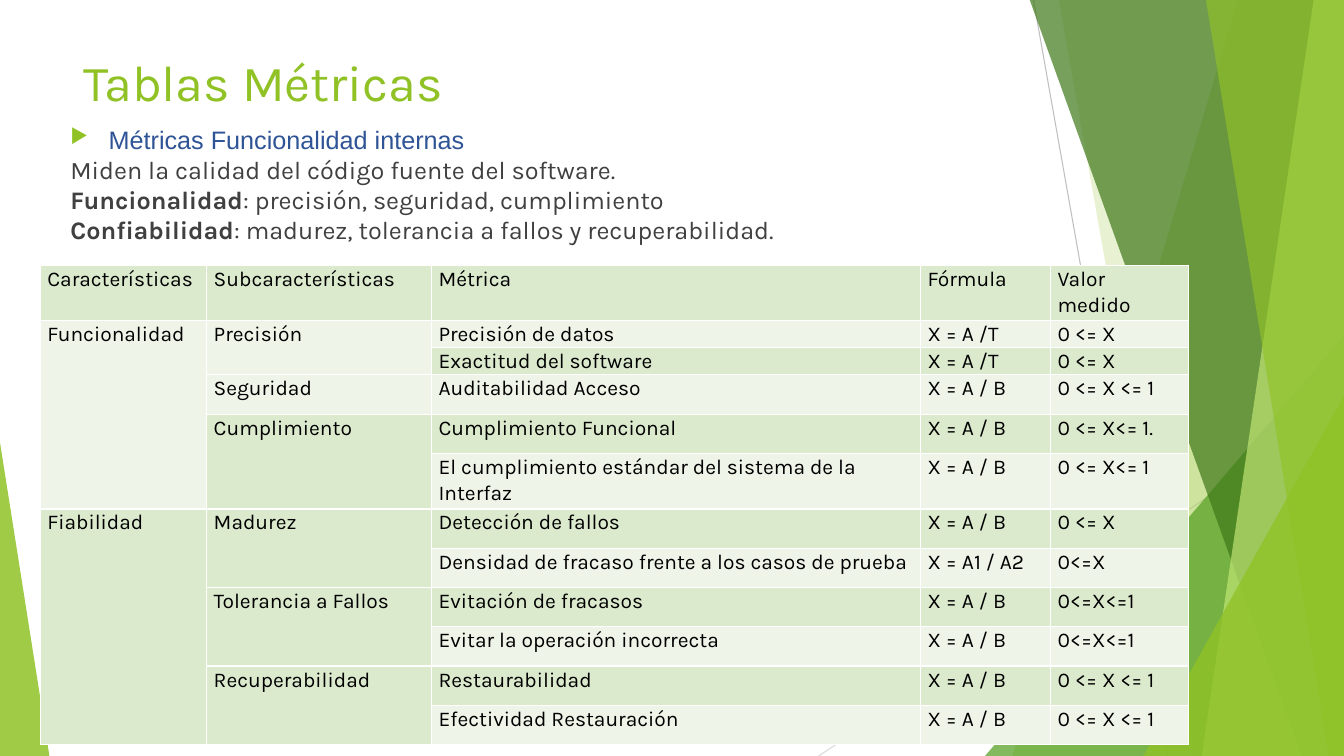
from lxml import etree
from pptx import Presentation
from pptx.dml.color import RGBColor
from pptx.enum.shapes import MSO_CONNECTOR, MSO_SHAPE
from pptx.oxml.ns import qn
from pptx.util import Inches, Pt

STRAIGHT = MSO_CONNECTOR.STRAIGHT
TRIANGLE = MSO_SHAPE.ISOSCELES_TRIANGLE

COLORS = {
    "lime": "90C226", "green": "54A021", "forest": "3F7819", "pale": "C0E474",
    "gray": "BFBFBF", "light_gray": "D9D9D9", "white": "FFFFFF", "black": "000000",
    "blue": "2F5496", "text": "404040", "band_dark": "DBE9CD", "band_light": "EEF4E8",
}

prs = Presentation()
prs.slide_width, prs.slide_height = Inches(13.33), Inches(7.5)
slide = prs.slides.add_slide(prs.slide_layouts[6])
shapes = slide.shapes


def paint(shape, color, opacity):
    """Fill a facet with a see-through colour, without outline or shadow."""
    shape.shadow.inherit = False
    shape.line.fill.background()
    shape.fill.solid()
    shape.fill.fore_color.rgb = RGBColor.from_string(COLORS[color])
    srgb = shape.fill._xPr.find(qn("a:solidFill"))[0]
    etree.SubElement(srgb, qn("a:alpha"), val=str(opacity * 1000))


def add_run(paragraph, text, color, size, font="Karla", bold=False):
    run = paragraph.add_run()
    run.text = text
    for name, value in {"size": Pt(size), "name": font, "bold": bold}.items():
        setattr(run.font, name, value)
    run.font.color.rgb = RGBColor.from_string(COLORS[color])


# Background facets, back to front
for x1, y1, x2, y2, color in [(10.25, 0, 11.58, 7.5, "gray"),
                              (13.33, 4.03, 8.12, 7.5, "light_gray")]:
    ray = shapes.add_connector(STRAIGHT, Inches(x1), Inches(y1), Inches(x2), Inches(y2))
    ray.line.width = Pt(0.75)
    ray.line.color.rgb = RGBColor.from_string(COLORS[color])
    etree.SubElement(ray._element.spPr, qn("a:effectLst"))

# Bands reach the right edge: (top x, bottom x, colour, opacity)
# Triangles: (left, top, width, height, apex, colour, opacity)
facets = [
    (12.28, 10.04, "lime", 30),
    (10.5, 11.83, "lime", 20),
    (9.77, 3.33, 3.56, 4.17, 1, "green", 72),
    (10.21, 12.91, "forest", 70),
    (13.03, 11.92, "pale", 70),
    (11.96, 13.18, "lime", 65),
    (11.34, 3.93, 1.99, 3.57, 1, "lime", 80),
    (0, 4.39, 0.49, 3.11, 0, "lime", 85),
]
for *geometry, color, opacity in facets:
    if len(geometry) == 2:
        top_x, bottom_x = geometry
        outline = shapes.build_freeform(Inches(top_x), Inches(-0.01))
        outline.add_line_segments([(Inches(x), Inches(y)) for x, y in
                                   [(13.33, -0.01), (13.33, 7.5), (bottom_x, 7.5)]])
        facet = outline.convert_to_shape()
    else:
        *box, apex = geometry
        facet = shapes.add_shape(TRIANGLE, *map(Inches, box))
        facet.adjustments[0] = apex
    paint(facet, color, opacity)

# Introduction and title
intro = shapes.add_textbox(Inches(0.6), Inches(1.18), Inches(9.4), Inches(1.44)).text_frame
intro.word_wrap = True
heading = intro.paragraphs[0]
heading.space_before = Pt(10)
add_run(heading, "Métricas Funcionalidad internas", "blue", 18, "Arial")
heading_format = heading._p.get_or_add_pPr()
heading_format.set("marL", str(Inches(0.38)))
heading_format.set("indent", str(Inches(-0.38)))
bullet_color = etree.SubElement(heading_format, qn("a:buClr"))
etree.SubElement(bullet_color, qn("a:srgbClr"), val=COLORS["lime"])
etree.SubElement(heading_format, qn("a:buSzPct"), val="80000")
etree.SubElement(heading_format, qn("a:buChar"), char="▶")

for term, explanation in [
    ("", "Miden la calidad del código fuente del software."),
    ("Funcionalidad", ": precisión, seguridad, cumplimiento"),
    ("Confiabilidad", ": madurez, tolerancia a fallos y recuperabilidad."),
]:
    paragraph = intro.add_paragraph()
    if term:
        add_run(paragraph, term, "text", 18, bold=True)
    add_run(paragraph, explanation, "text", 18)

title = shapes.add_textbox(Inches(0.73), Inches(0.46), Inches(9.4), Inches(1.44)).text_frame
title.word_wrap = True
add_run(title.paragraphs[0], "Tablas Métricas", "lime", 36)

# Metrics table: an empty entry continues the cell above it
metrics = [
    ("Características", "Subcaracterísticas", "Métrica", "Fórmula", "Valor medido"),
    ("Funcionalidad", "Precisión", "Precisión de datos", "X = A /T", "0 <= X"),
    ("", "", "Exactitud del software", "X = A /T", "0 <= X"),
    ("", "Seguridad", "Auditabilidad Acceso", "X = A / B", "0 <= X <= 1"),
    ("", "Cumplimiento", "Cumplimiento Funcional", "X = A / B", "0 <= X<= 1."),
    ("", "", "El cumplimiento estándar del sistema de la Interfaz", "X = A / B", "0 <= X<= 1"),
    ("Fiabilidad", "Madurez", "Detección de fallos", "X = A / B", "0 <= X"),
    ("", "", "Densidad de fracaso frente a los casos de prueba", "X = A1 / A2", "0<=X"),
    ("", "Tolerancia a Fallos", "Evitación de fracasos", "X = A / B", "0<=X<=1"),
    ("", "", "Evitar la operación incorrecta", "X = A / B", "0<=X<=1"),
    ("", "Recuperabilidad", "Restaurabilidad", "X = A / B", "0 <= X <= 1"),
    ("", "", "Efectividad Restauración", "X = A / B", "0 <= X <= 1"),
]
column_widths = [1.65, 2.23, 4.85, 1.29, 1.37]
row_heights = [0.55, 0.27, 0.27, 0.39, 0.39, 0.55] + [0.39] * 6
table = shapes.add_table(len(metrics), len(column_widths), Inches(0.4), Inches(2.63),
                         Inches(sum(column_widths)), Inches(sum(row_heights))).table
table.first_row = table.horz_banding = False
for column, width in zip(table.columns, column_widths):
    column.width = Inches(width)
for row, height in zip(table.rows, row_heights):
    row.height = Inches(height)

cell_margins = {"margin_left": 0.07, "margin_right": 0.07, "margin_top": 0, "margin_bottom": 0}
for r, entries in enumerate(metrics):
    for c, entry in enumerate(entries):
        cell = table.cell(r, c)
        for name, value in cell_margins.items():
            setattr(cell, name, Inches(value))
        cell_format = cell._tc.get_or_add_tcPr()
        for side in ("a:lnL", "a:lnR", "a:lnT", "a:lnB"):
            border = etree.SubElement(cell_format, qn(side), w=str(Pt(1)))
            border_fill = etree.SubElement(border, qn("a:solidFill"))
            etree.SubElement(border_fill, qn("a:srgbClr"), val=COLORS["white"])
        cell.fill.solid()
        band = "band_light" if r % 2 else "band_dark"
        cell.fill.fore_color.rgb = RGBColor.from_string(COLORS[band])
        if not entry:
            continue
        paragraph = cell.text_frame.paragraphs[0]
        paragraph.line_spacing = 1.07
        paragraph.space_after = Pt(8)
        add_run(paragraph, entry, "black", 15)
        last = r
        while last + 1 < len(metrics) and not metrics[last + 1][c]:
            last += 1
        if last > r:
            cell.merge(table.cell(last, c))

prs.save("out.pptx")
